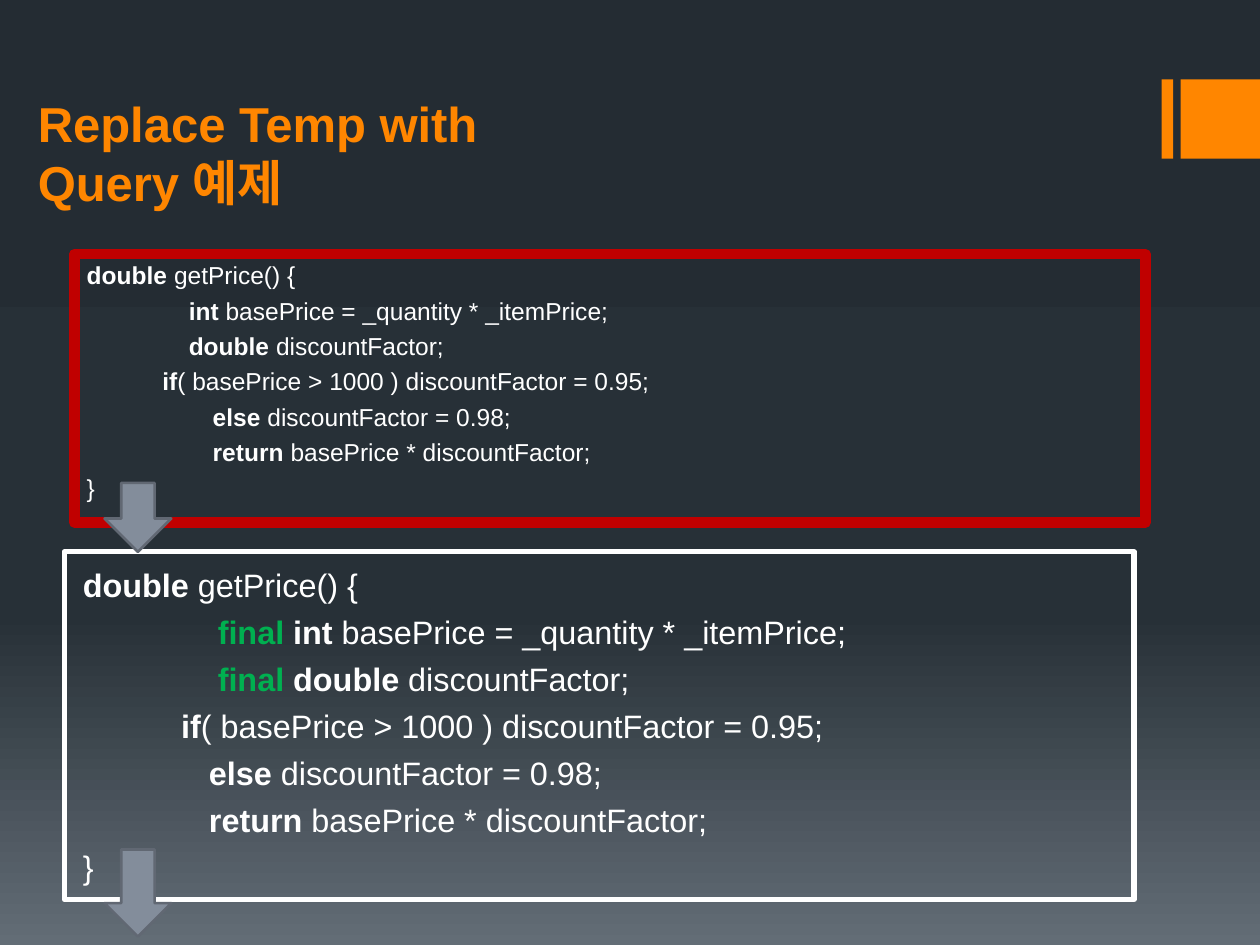
from copy import deepcopy
from dataclasses import dataclass

from pptx import Presentation
from pptx.dml.color import RGBColor
from pptx.enum.shapes import MSO_SHAPE
from pptx.enum.text import MSO_ANCHOR, MSO_AUTO_SIZE, PP_ALIGN
from pptx.oxml.ns import qn
from pptx.util import Inches, Pt

W, H = 10, 7.5
FONT = "Arial"
ORANGE, WHITE, RED, GREEN = "FF8600", "FFFFFF", "C00000", "00B050"
ARROW_FILL, ARROW_LINE = "838D9B", "616873"
BACKGROUND = [(0, "242C33"), (0.65, "273037"), (1, "636D76")]


@dataclass
class Box:
    """Left, top, width and height as shares of the slide."""
    x: float
    y: float
    w: float
    h: float

    def inches(self) -> tuple:
        return (Inches(self.x * W), Inches(self.y * H),
                Inches(self.w * W), Inches(self.h * H))


@dataclass
class CodePanel:
    box: Box
    line: str
    line_width: float
    size: float
    space: float
    anchor: MSO_ANCHOR
    indents: tuple  # base, declarations, if, else and return
    modifier: str = ""


# Each line: indent level, keyword, rest, takes the modifier
CODE = [
    (0, "double ", "getPrice() {", False),
    (1, "int ", "basePrice = _quantity * _itemPrice;", True),
    (1, "double ", "discountFactor;", True),
    (2, "if", "( basePrice > 1000 ) discountFactor = 0.95;", False),
    (3, "else ", "discountFactor = 0.98;", False),
    (3, "return ", "basePrice * discountFactor;", False),
    (0, "", "}", False),
]

PANELS = [
    CodePanel(Box(0.051, 0.584, 0.849, 0.368), WHITE, 3, 18.5, 4.6,
              MSO_ANCHOR.MIDDLE, (0.05, 1.12, 0.83, 1.05), "final "),
    CodePanel(Box(0.059, 0.269, 0.85, 0.284), RED, 6, 14, 3.4,
              MSO_ANCHOR.TOP, (0, 0.81, 0.6, 1)),
]
BARS = [Box(0.922, 0.084, 0.009, 0.084), Box(0.937, 0.084, 0.063, 0.084)]
ARROWS = [Box(0.083, 0.511, 0.053, 0.073), Box(0.083, 0.899, 0.053, 0.092)]


def rgb(value: str) -> RGBColor:
    return RGBColor.from_string(value)


def add_run(p, text: str, size: float, color: str, bold: bool = False) -> None:
    r = p.add_run()
    r.text = text
    r.font.name, r.font.size, r.font.bold = FONT, Pt(size), bold
    r.font.color.rgb = rgb(color)


def add_block(s, kind, box: Box, fill: str = "", line: str = "",
              width: float = 0):
    sp = s.shapes.add_shape(kind, *box.inches())
    sp.shadow.inherit = False
    if fill:
        sp.fill.solid()
        sp.fill.fore_color.rgb = rgb(fill)
    else:
        sp.fill.background()
    if line:
        sp.line.color.rgb = rgb(line)
        sp.line.width = Pt(width)
    else:
        sp.line.fill.background()
    return sp


def add_code(s, panel: CodePanel) -> None:
    sp = add_block(s, MSO_SHAPE.RECTANGLE, panel.box,
                   line=panel.line, width=panel.line_width)
    tf = sp.text_frame
    tf.word_wrap, tf.vertical_anchor = True, panel.anchor
    for i, (level, keyword, rest, modified) in enumerate(CODE):
        p = tf.add_paragraph() if i else tf.paragraphs[0]
        p.alignment, p.space_before = PP_ALIGN.LEFT, Pt(panel.space)
        p_pr = p._p.get_or_add_pPr()
        p_pr.set("marL", str(Inches(panel.indents[level])))
        p_pr.set("indent", "0")
        if modified and panel.modifier:
            add_run(p, panel.modifier, panel.size, GREEN, True)
        if keyword:
            add_run(p, keyword, panel.size, WHITE, True)
        add_run(p, rest, panel.size, WHITE)


def set_background(s) -> None:
    fill = s.background.fill
    fill.gradient()
    fill.gradient_angle = 270
    stops = next(s.element.iter(qn("a:gsLst")))
    stops.append(deepcopy(stops[0]))
    for stop, (position, color) in zip(fill.gradient_stops, BACKGROUND):
        stop.position = position
        stop.color.rgb = rgb(color)


def set_title(s) -> None:
    title = s.shapes.title
    title.left, title.top, title.width, title.height = Box(
        0.02, 0.017, 0.403, 0.273).inches()
    tf = title.text_frame
    tf.auto_size, tf.word_wrap = MSO_AUTO_SIZE.NONE, True
    tf.vertical_anchor, tf.margin_bottom = MSO_ANCHOR.BOTTOM, Inches(0.5)
    p = tf.paragraphs[0]
    p.alignment = PP_ALIGN.LEFT
    add_run(p, "Replace Temp with Query 예제", 28, ORANGE, True)


def main() -> None:
    prs = Presentation()
    prs.slide_width, prs.slide_height = Inches(W), Inches(H)
    s = prs.slides.add_slide(prs.slide_layouts[5])
    set_background(s)
    # Corner bars and title
    for bar in BARS:
        add_block(s, MSO_SHAPE.RECTANGLE, bar, ORANGE)
    set_title(s)
    # Code panels, then the arrows over their lower edges
    for panel in PANELS:
        add_code(s, panel)
    for arrow in ARROWS:
        add_block(s, MSO_SHAPE.DOWN_ARROW, arrow, ARROW_FILL, ARROW_LINE, 1.5)
    prs.save("out.pptx")


if __name__ == "__main__":
    main()
